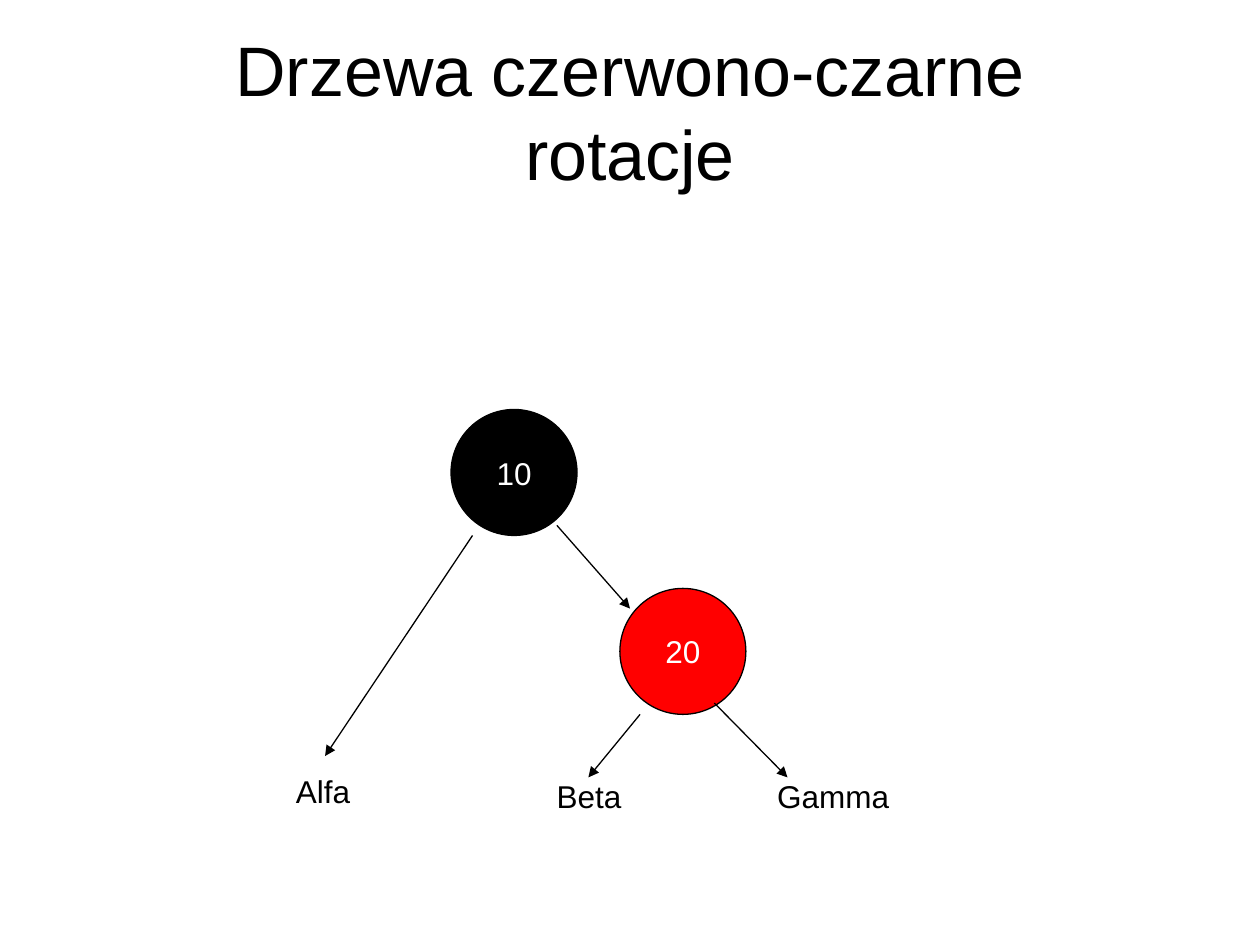
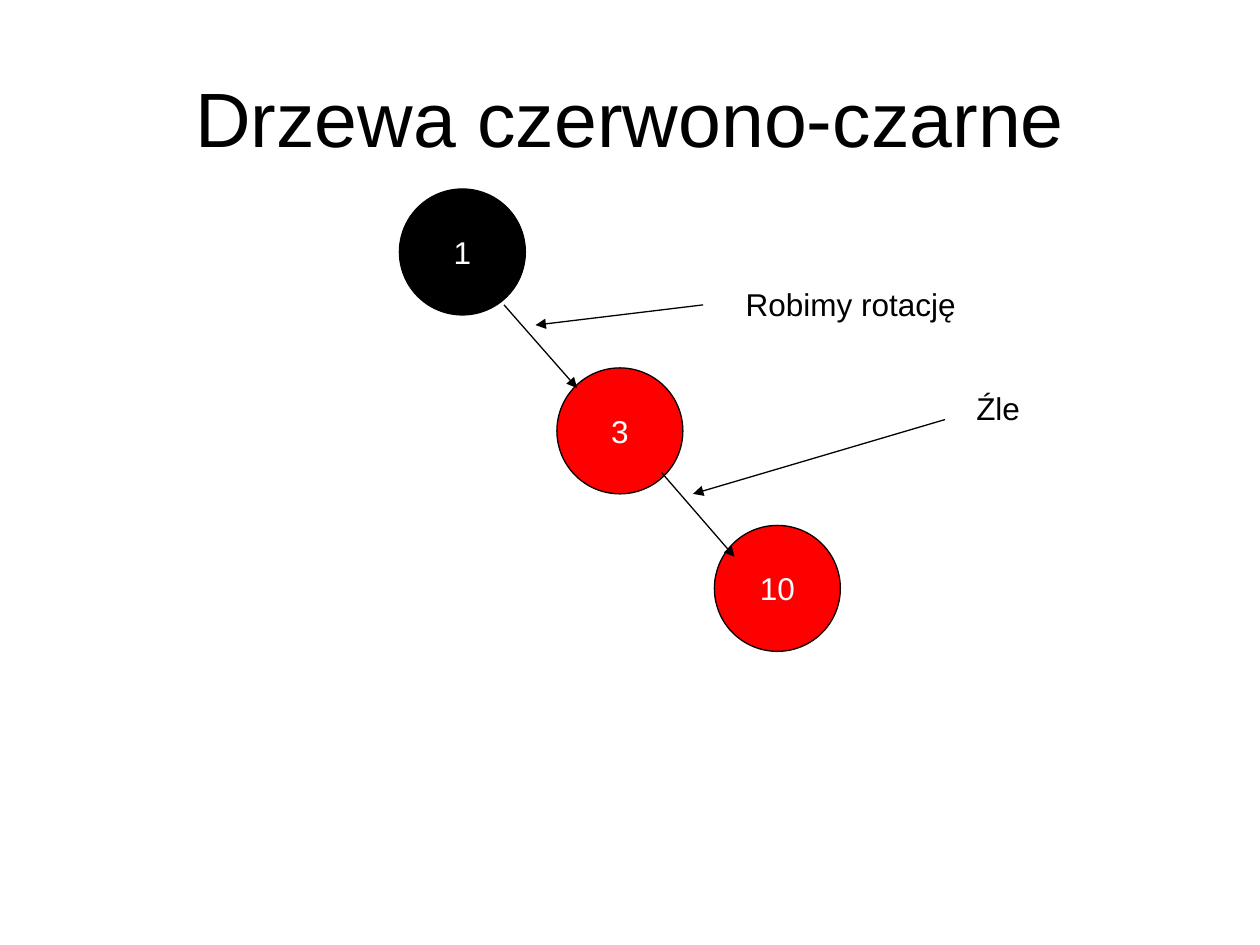
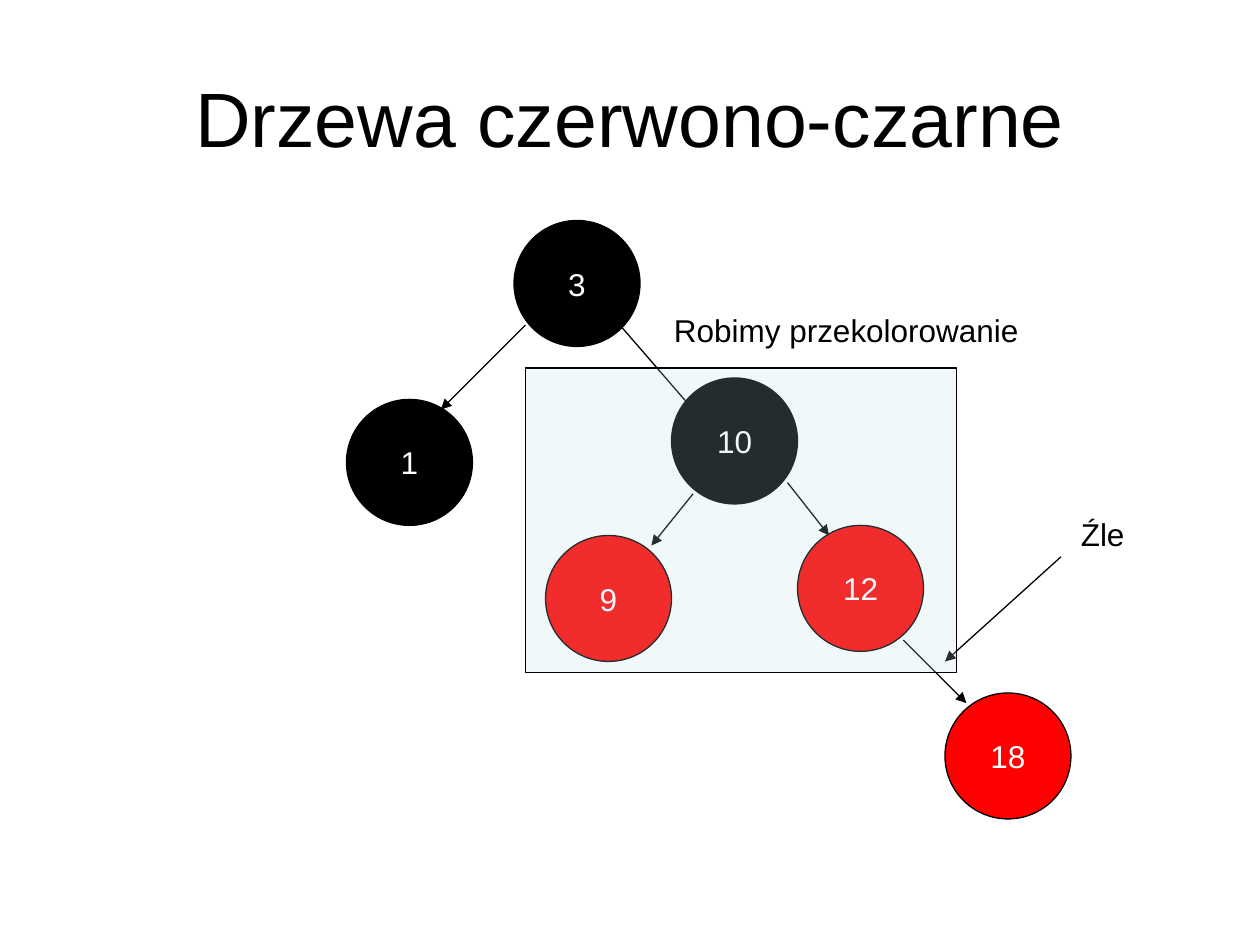
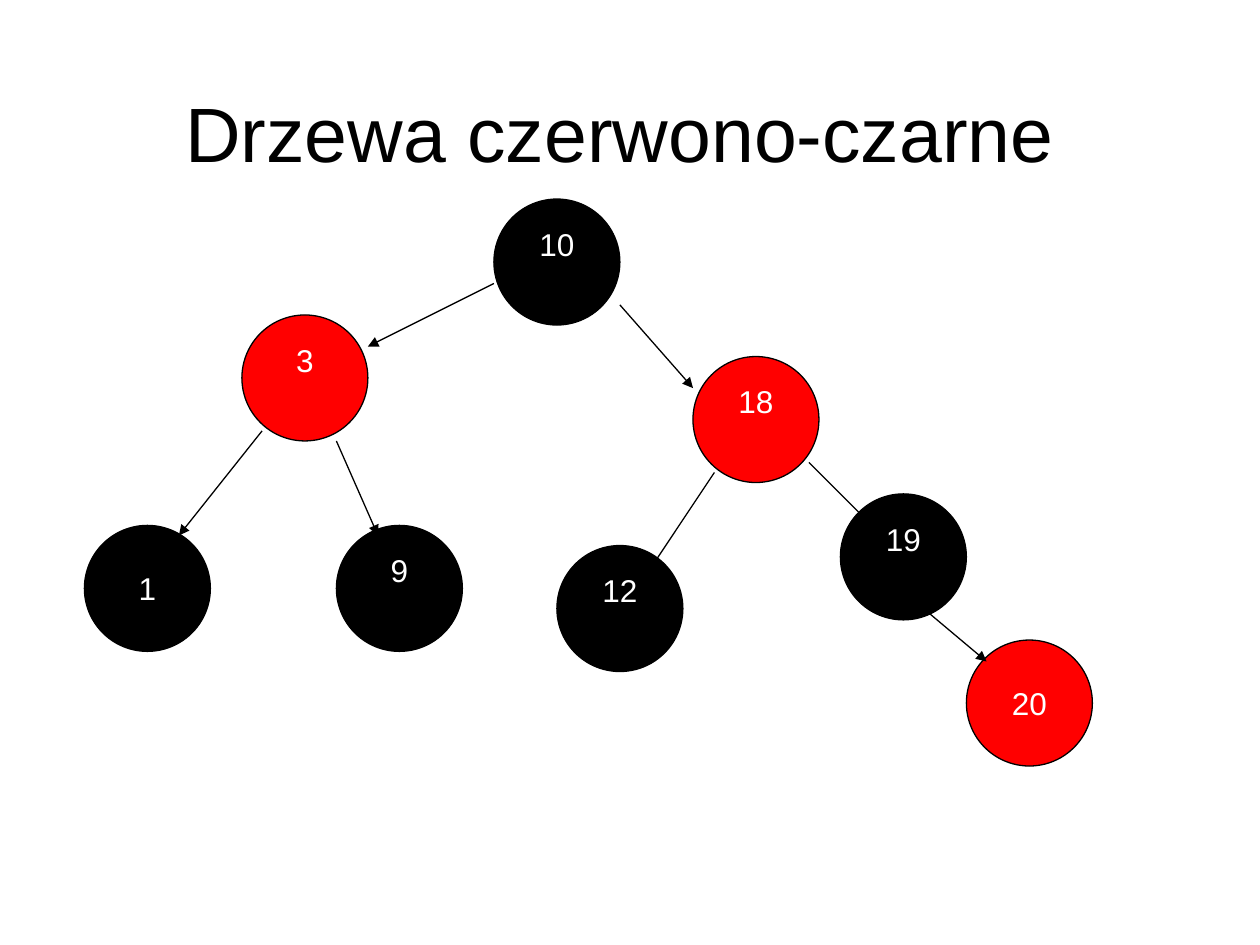
"""Builds four slides on rotations and recolouring in red-black trees."""
from pptx import Presentation
from pptx.dml.color import RGBColor
from pptx.enum.shapes import MSO_CONNECTOR, MSO_SHAPE
from pptx.enum.text import MSO_ANCHOR, MSO_AUTO_SIZE, PP_ALIGN
from pptx.oxml.ns import qn
from pptx.util import Inches, Pt
from lxml.etree import SubElement

BLACK, RED, WHITE, PALE = "000000", "FF0000", "FFFFFF", "BBE0E3"
FONT = "Arial"
TEXT_SIZE = 18
NODE_SIZE = 1
LABEL_HEIGHT = 0.4
RAISED_MARGIN = 0.34
TITLE = "Drzewa czerwono-czarne"

# nodes: value, colour, left, top; arrows: from x, y, to x, y
# labels: text, left, top, width; highlight: left, top, width, height
SLIDES = [
    {
        "title": TITLE + "\nrotacje", "title_size": 40, "title_at": (0.5, 0.25),
        "nodes": [("10", BLACK, 3.58, 3.25), ("20", RED, 4.92, 4.67)],
        "arrows": [(4.42, 4.17, 5, 4.83), (3.75, 4.25, 2.58, 6),
                   (5.08, 5.67, 4.67, 6.17), (5.67, 5.58, 6.25, 6.17)],
        "labels": [("Alfa", 2.25, 6.08, 0.65), ("Beta", 4.32, 6.12, 0.73),
                   ("Gamma", 6.07, 6.12, 1.11)],
    },
    {
        "nodes": [("1", BLACK, 3.17, 1.5), ("3", RED, 4.42, 2.92),
                  ("10", RED, 5.67, 4.17)],
        "arrows": [(4, 2.42, 4.58, 3.08), (5.25, 3.75, 5.83, 4.42),
                   (7.5, 3.33, 5.5, 3.92), (5.58, 2.42, 4.25, 2.58)],
        "labels": [("Źle", 7.65, 3.04, 0.56),
                   ("Robimy rotację", 5.82, 2.21, 1.88)],
    },
    {
        "nodes": [("1", BLACK, 2.75, 3.17), ("3", BLACK, 4.08, 1.75),
                  ("10", BLACK, 5.33, 3), ("9", RED, 4.33, 4.25),
                  ("12", RED, 6.33, 4.17), ("18", RED, 7.5, 5.5)],
        "arrows": [(4.17, 2.58, 3.5, 3.25), (4.92, 2.58, 5.5, 3.25),
                   (5.5, 3.92, 5.17, 4.33), (6.25, 3.83, 6.58, 4.25),
                   (7.17, 5.08, 7.67, 5.58), (8.42, 4.42, 7.5, 5.25)],
        "highlight": (4.17, 2.92, 3.42, 2.42),
        "labels": [("Źle", 8.48, 4.04, 0.56),
                   ("Robimy przekolorowanie", 5.25, 2.42, 2.96)],
    },
    {
        "title_at": (0.42, 0.42),
        "nodes": [("1", BLACK, 0.67, 4.17), ("10", BLACK, 3.92, 1.58),
                  ("3", RED, 1.92, 2.5), ("12", BLACK, 4.42, 4.33),
                  ("18", RED, 5.5, 2.83), ("9", BLACK, 2.67, 4.17),
                  ("19", BLACK, 6.67, 3.92), ("20", RED, 7.67, 5.08)],
        "raised": {"10", "3", "12", "18", "9", "19"},
        "arrows": [(2.08, 3.42, 1.42, 4.25), (3.92, 2.25, 2.92, 2.75),
                   (2.67, 3.5, 3, 4.25), (4.92, 2.42, 5.5, 3.08),
                   (5.67, 3.75, 5.17, 4.5), (6.42, 3.67, 6.92, 4.17),
                   (7.33, 4.83, 7.83, 5.25)],
    },
]


def rgb(colour):
    """Turn a hex string into a colour."""
    return RGBColor.from_string(colour)


def write(frame, text, size, colour, align):
    """Put one formatted paragraph into a text frame."""
    paragraph = frame.paragraphs[0]
    paragraph.text = text
    paragraph.alignment = align
    paragraph.font.name = FONT
    paragraph.font.size = Pt(size)
    paragraph.font.color.rgb = rgb(colour)


def set_title(slide, text, size, left, top):
    """Place and fill the title placeholder."""
    title = slide.shapes.title
    title.left, title.top = Inches(left), Inches(top)
    title.width, title.height = Inches(9), Inches(1.25)
    frame = title.text_frame
    frame.auto_size = MSO_AUTO_SIZE.NONE
    frame.vertical_anchor = MSO_ANCHOR.MIDDLE
    write(frame, text, size, BLACK, PP_ALIGN.CENTER)


def add_outlined(slide, kind, fill, *box):
    """Draw a filled shape with a thin black outline."""
    shape = slide.shapes.add_shape(kind, *map(Inches, box))
    shape.shadow.inherit = False
    shape.fill.solid()
    shape.fill.fore_color.rgb = rgb(fill)
    shape.line.color.rgb = rgb(BLACK)
    shape.line.width = Pt(0.75)
    return shape


def add_node(slide, value, colour, left, top, raised):
    """Draw a tree node, with its value centred or raised by half a line."""
    node = add_outlined(slide, MSO_SHAPE.OVAL, colour, left, top, NODE_SIZE, NODE_SIZE)
    frame = node.text_frame
    frame.word_wrap = False
    frame.vertical_anchor = MSO_ANCHOR.MIDDLE
    if raised:
        frame.margin_bottom = Inches(RAISED_MARGIN)
    write(frame, value, TEXT_SIZE, WHITE, PP_ALIGN.CENTER)


def add_arrow(slide, *ends):
    """Draw a thin black arrow."""
    arrow = slide.shapes.add_connector(MSO_CONNECTOR.STRAIGHT, *map(Inches, ends))
    arrow.line.color.rgb = rgb(BLACK)
    arrow.line.width = Pt(0.75)
    properties = arrow._element.spPr
    SubElement(properties.find(qn("a:ln")), qn("a:tailEnd"), type="triangle")
    SubElement(properties, qn("a:effectLst"))


def add_highlight(slide, *box):
    """Draw a mostly transparent rectangle over part of the tree."""
    highlight = add_outlined(slide, MSO_SHAPE.RECTANGLE, PALE, *box)
    colour = highlight._element.spPr.find(qn("a:solidFill"))[0]
    SubElement(colour, qn("a:alpha"), val="20000")


def add_label(slide, text, left, top, width):
    """Write a one-line label."""
    label = slide.shapes.add_textbox(*map(Inches, (left, top, width, LABEL_HEIGHT)))
    frame = label.text_frame
    frame.word_wrap = False
    frame.auto_size = MSO_AUTO_SIZE.NONE
    write(frame, text, TEXT_SIZE, BLACK, PP_ALIGN.LEFT)


def build_slide(deck, content):
    """Build one slide from its content."""
    slide = deck.slides.add_slide(deck.slide_layouts[5])
    set_title(slide, content.get("title", TITLE), content.get("title_size", 44),
              *content.get("title_at", (0.5, 0.3)))
    for node in content["nodes"]:
        add_node(slide, *node, raised=node[0] in content.get("raised", ()))
    for ends in content["arrows"]:
        add_arrow(slide, *ends)
    if "highlight" in content:
        add_highlight(slide, *content["highlight"])
    for label in content.get("labels", ()):
        add_label(slide, *label)


def main():
    """Build and save the deck."""
    deck = Presentation()
    deck.slide_width, deck.slide_height = Inches(10), Inches(7.5)
    for content in SLIDES:
        build_slide(deck, content)
    deck.save("out.pptx")


if __name__ == "__main__":
    main()
